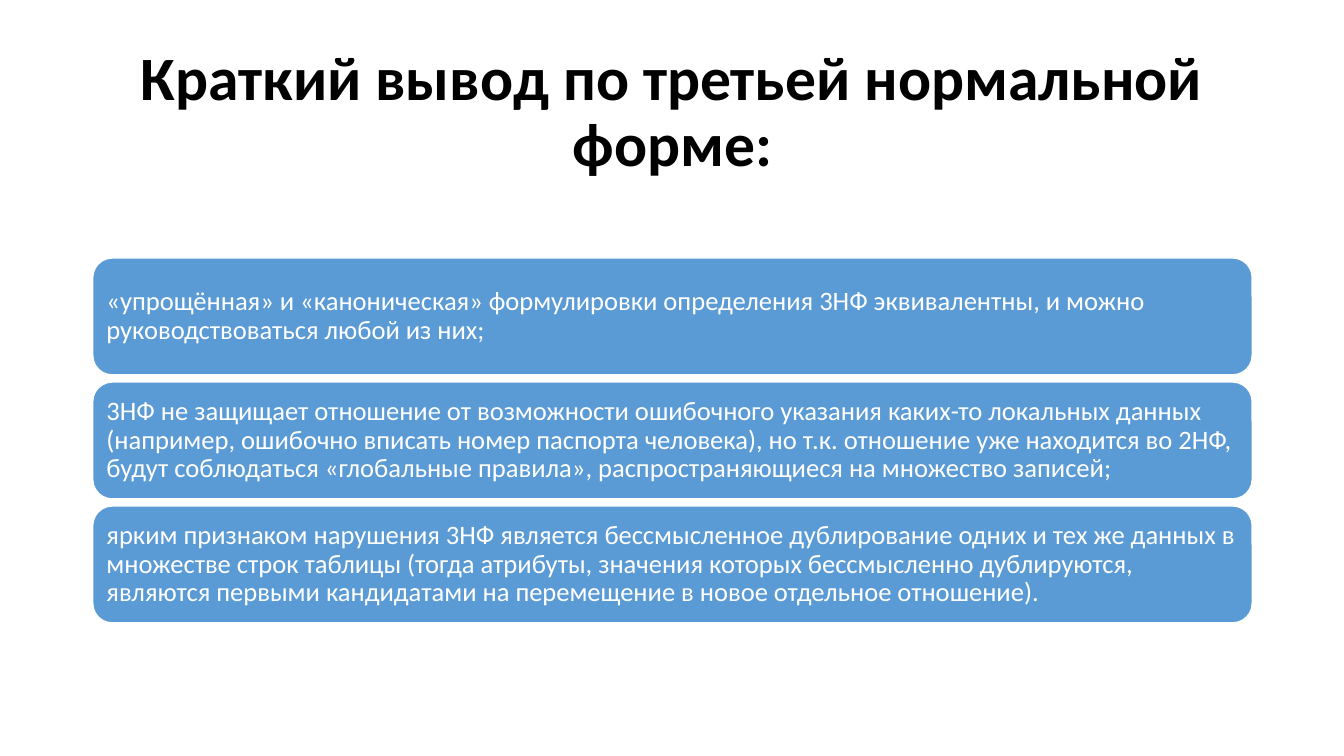
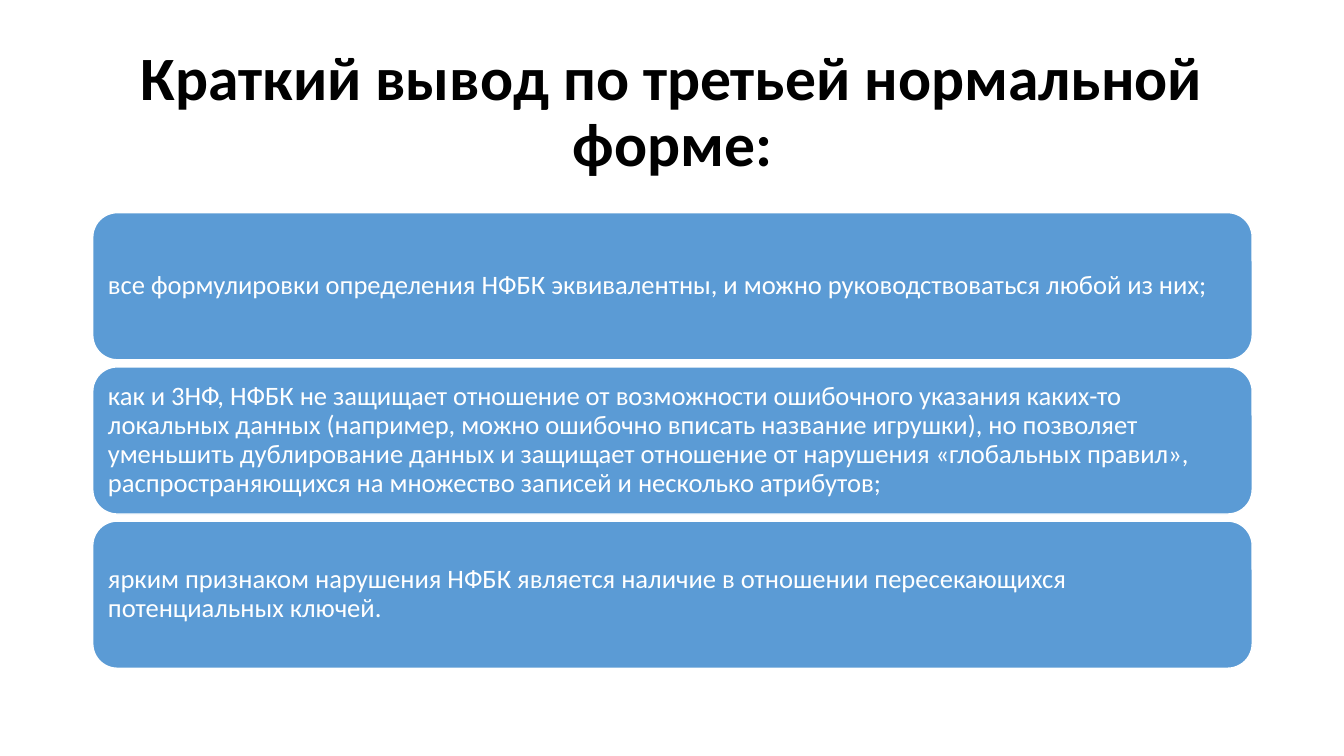
import dataclasses

import pptx
import pptx.dml.color
import pptx.enum.shapes
import pptx.enum.text
import pptx.presentation
import pptx.slide
import pptx.text.text
import pptx.util
from pptx.util import Inches

COLORS = {"title": "000000", "card": "5B9BD5", "card_line": "FFFFFF", "card_text": "FFFFFF"}
FONT = "Calibri"
TITLE = "Краткий вывод по третьей нормальной форме:"
TITLE_ONLY_LAYOUT = 5
LEFT, WIDTH = 0.92, 11.5
CARDS_MIDDLE, CARD_GAP = 4.37, 0.07


@dataclasses.dataclass(frozen=True)
class Summary:
    card_height: float
    statements: tuple[str, ...]


SUMMARIES = (
    Summary(1.16, (
        "«упрощённая» и «каноническая» формулировки определения 3НФ эквивалентны, "
        "и можно руководствоваться любой из них;",
        "3НФ не защищает отношение от возможности ошибочного указания каких-то локальных данных "
        "(например, ошибочно вписать номер паспорта человека), но т.к. отношение уже находится "
        "во 2НФ, будут соблюдаться «глобальные правила», распространяющиеся на множество записей;",
        "ярким признаком нарушения 3НФ является бессмысленное дублирование одних и тех же данных "
        "в множестве строк таблицы (тогда атрибуты, значения которых бессмысленно дублируются, "
        "являются первыми кандидатами на перемещение в новое отдельное отношение).",
    )),
    Summary(1.46, (
        "все формулировки определения НФБК эквивалентны, и можно руководствоваться любой из них;",
        "как и 3НФ, НФБК не защищает отношение от возможности ошибочного указания каких-то "
        "локальных данных (например, можно ошибочно вписать название игрушки), но позволяет "
        "уменьшить дублирование данных и защищает отношение от нарушения «глобальных правил», "
        "распространяющихся на множество записей и несколько атрибутов;",
        "ярким признаком нарушения НФБК является наличие в отношении пересекающихся "
        "потенциальных ключей.",
    )),
)


def color(name: str) -> pptx.dml.color.RGBColor:
    return pptx.dml.color.RGBColor.from_string(COLORS[name])


def write_text(frame: pptx.text.text.TextFrame, text: str, size: int, color_name: str,
               alignment: pptx.enum.text.PP_ALIGN, bold: bool = False) -> None:
    frame.word_wrap = True
    frame.auto_size = pptx.enum.text.MSO_AUTO_SIZE.NONE
    frame.vertical_anchor = pptx.enum.text.MSO_ANCHOR.MIDDLE
    paragraph = frame.paragraphs[0]
    paragraph.alignment = alignment
    paragraph.line_spacing = 0.9
    paragraph.space_before = pptx.util.Pt(0)
    run = paragraph.add_run()
    run.text = text
    run.font.name = FONT
    run.font.size = pptx.util.Pt(size)
    run.font.bold = bold
    run.font.color.rgb = color(color_name)


def add_title(slide: pptx.slide.Slide) -> None:
    title = slide.shapes.title
    title.left, title.top = Inches(LEFT), Inches(0.4)
    title.width, title.height = Inches(WIDTH), Inches(1.45)
    write_text(title.text_frame, TITLE, 44, "title", pptx.enum.text.PP_ALIGN.CENTER, bold=True)


def add_card(slide: pptx.slide.Slide, top: float, height: float, statement: str) -> None:
    card = slide.shapes.add_shape(
        pptx.enum.shapes.MSO_SHAPE.ROUNDED_RECTANGLE,
        Inches(LEFT), Inches(top), Inches(WIDTH), Inches(height))
    card.shadow.inherit = False
    card.fill.solid()
    card.fill.fore_color.rgb = color("card")
    card.line.color.rgb = color("card_line")
    card.line.width = pptx.util.Pt(1)
    frame = card.text_frame
    frame.margin_left = frame.margin_right = Inches(0.08)
    frame.margin_top = frame.margin_bottom = Inches(0.08)
    write_text(frame, statement, 19, "card_text", pptx.enum.text.PP_ALIGN.LEFT)


def add_summary(presentation: pptx.presentation.Presentation, summary: Summary) -> None:
    slide = presentation.slides.add_slide(presentation.slide_layouts[TITLE_ONLY_LAYOUT])
    add_title(slide)
    pitch = summary.card_height + CARD_GAP
    first_top = CARDS_MIDDLE - (len(summary.statements) * pitch - CARD_GAP) / 2
    for index, statement in enumerate(summary.statements):
        add_card(slide, first_top + index * pitch, summary.card_height, statement)


def main() -> None:
    presentation = pptx.Presentation()
    presentation.slide_width, presentation.slide_height = Inches(13.33), Inches(7.5)
    for summary in SUMMARIES:
        add_summary(presentation, summary)
    presentation.save("out.pptx")


if __name__ == "__main__":
    main()
